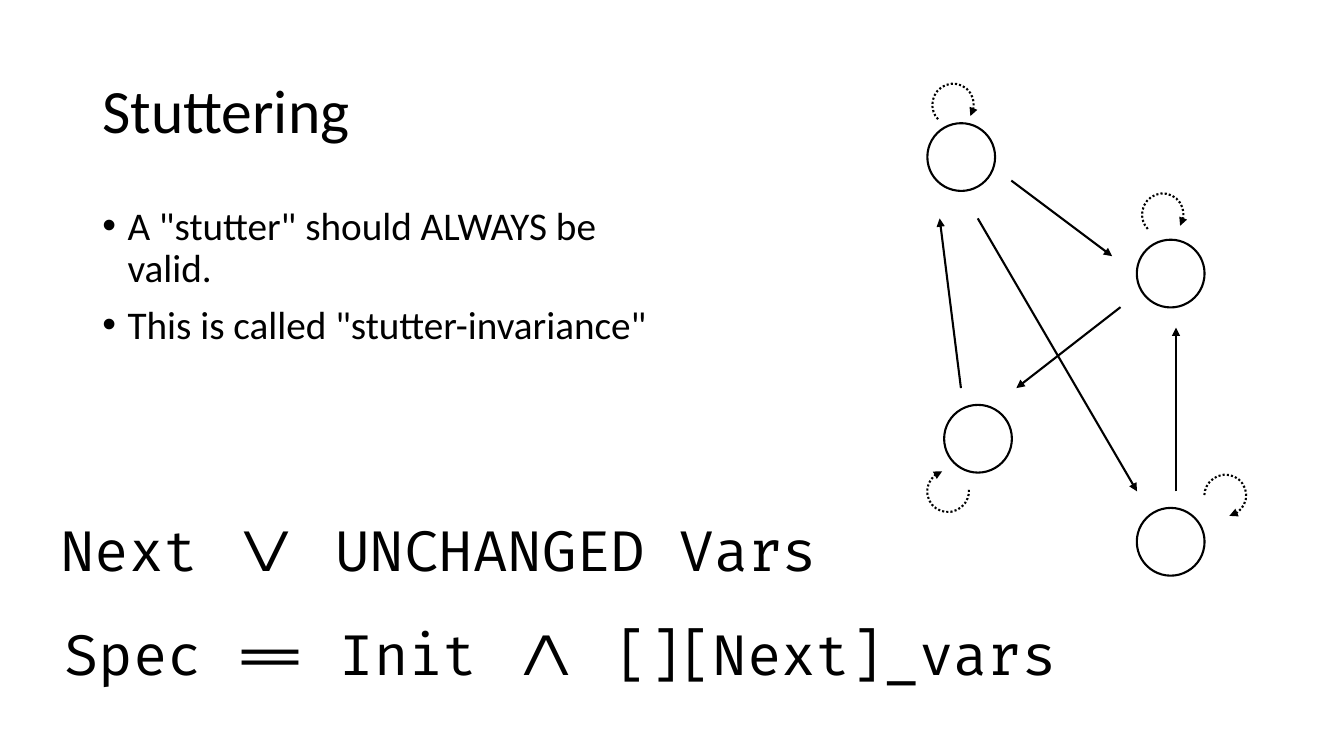
from pptx import Presentation
from pptx.dml.color import RGBColor
from pptx.enum.dml import MSO_LINE as Dash
from pptx.enum.shapes import MSO_CONNECTOR as Link, MSO_SHAPE as Kind
from pptx.enum.text import MSO_ANCHOR as Anchor, MSO_AUTO_SIZE as Fit
from pptx.oxml.ns import qn
from pptx.util import Pt
from lxml.etree import SubElement as Sub

BLACK = RGBColor(0, 0, 0)
WHITE = RGBColor(255, 255, 255)

deck = Presentation()
deck.slide_width, deck.slide_height = Pt(960), Pt(540)
slide = deck.slides.add_slide(deck.slide_layouts[6])
shapes = slide.shapes


def add_text(box, lines, size, font):
    frame = shapes.add_textbox(*[Pt(v) for v in box]).text_frame
    frame.word_wrap = True
    frame.text = "\n".join(lines)
    for para in frame.paragraphs:
        face = para.runs[0].font
        face.name, face.size, face.color.rgb = font, Pt(size), BLACK
    return frame


def ink(line, arrow=False):
    line.color.rgb = BLACK
    line.width = Pt(1.5)
    if arrow:
        Sub(line._get_or_add_ln(), qn("a:tailEnd"), type="triangle")


# Title and bullets
title = add_text((66, 28.8, 828, 104.4), ["Stuttering"], 44, "Calibri")
title.vertical_anchor = Anchor.MIDDLE
title.paragraphs[0].line_spacing = 0.9

points = ['A "stutter" should ALWAYS be valid.',
          'This is called "stutter-invariance"']
body = add_text((66, 144, 408, 342.7), points, 28, "Calibri")
for para in body.paragraphs:
    para.line_spacing = 0.9
    para.space_before = Pt(10)
    props = para._p.get_or_add_pPr()
    props.set("marL", str(Pt(18)))
    props.set("indent", str(-Pt(18)))
    Sub(props, qn("a:buFont"), typeface="Arial")
    Sub(props, qn("a:buChar"), char="•")

# States
for x, y in [(662.4, 88), (812, 171.2), (674.4, 289.2), (812, 362.8)]:
    state = shapes.add_shape(Kind.OVAL, Pt(x), Pt(y), Pt(48.4), Pt(48.4))
    state.shadow.inherit = False
    state.fill.solid()
    state.fill.fore_color.rgb = WHITE
    ink(state.line)

# Steps between states
steps = [(722.4, 129, 794.4, 183), (698.4, 156, 812.2, 351),
         (800.4, 219.4, 726, 277.2), (840, 351, 840, 234),
         (686.4, 277.2, 671.2, 156)]
for ends in steps:
    step = shapes.add_connector(Link.STRAIGHT, *[Pt(v) for v in ends])
    Sub(step._element.spPr, qn("a:effectLst"))
    ink(step.line, arrow=True)

# Stutter loops
loops = [(666, 59.8, 10.4), (815.8, 138.2, 10.4),
         (860.4, 339, 55.7), (662.4, 335.8, 230.6)]
for x, y, turn in loops:
    loop = shapes.add_shape(Kind.ARC, Pt(x), Pt(y), Pt(29.6), Pt(30))
    loop.shadow.inherit = False
    loop.rotation = turn
    loop.adjustments[0] = 75.32
    loop.adjustments[1] = 13.73
    loop.fill.background()
    loop.line.dash_style = Dash.ROUND_DOT
    ink(loop.line, arrow=True)

# Formulas
formulas = [(36, 365, 561.6, r"Next \/ UNCHANGED Vars"),
            (477.4, 439.2, 288, "[Next]_vars"),
            (38.9, 439.2, 462.2, r"Spec == Init /\ []")]
for x, y, wide, text in formulas:
    frame = add_text((x, y, wide, 55.4), [text], 40, "Fira Code")
    frame.word_wrap = False
    frame.auto_size = Fit.SHAPE_TO_FIT_TEXT

deck.save("out.pptx")
